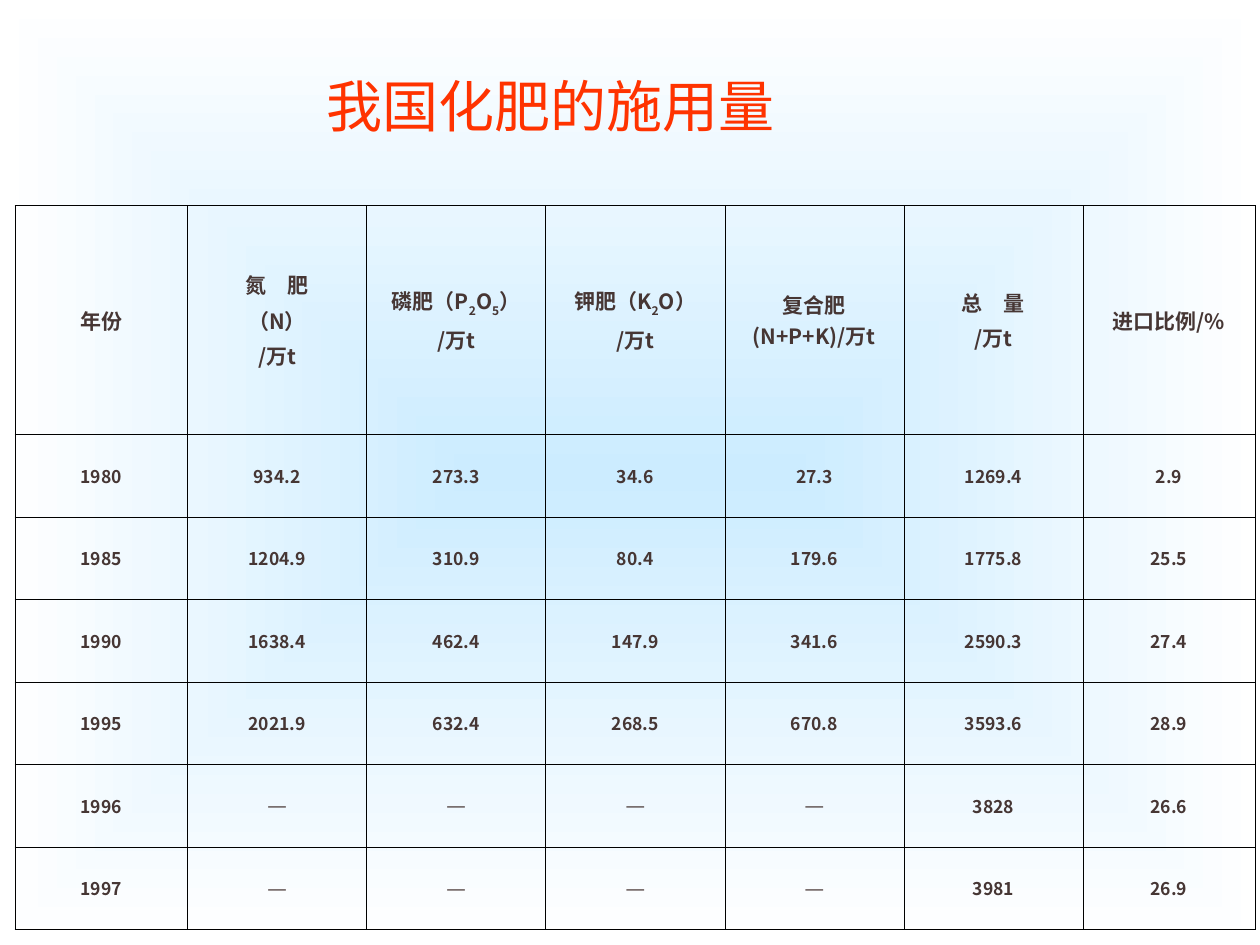
from pptx import Presentation
from pptx.dml.color import RGBColor
from pptx.enum.text import MSO_ANCHOR, MSO_AUTO_SIZE, PP_ALIGN
from pptx.oxml import parse_xml
from pptx.oxml.ns import nsdecls, qn
from pptx.util import Cm, Pt

CENTER = PP_ALIGN.CENTER
MIDDLE = MSO_ANCHOR.MIDDLE
GROW = MSO_AUTO_SIZE.SHAPE_TO_FIT_TEXT

COLORS = {"title": "FF3300", "text": "463634", "border": "000000",
          "bg_inner": "CCECFF", "bg_outer": "FFFFFF"}
SANS = "Noto Sans CJK SC"
SERIF = "Times New Roman"

# Each header cell is a list of lines; "_" lowers the character after it
HEADERS = [
    ["年份"],
    ["氮　肥", "（N）", "/万t"],
    ["磷肥（P_2O_5）", "/万t"],
    ["钾肥（K_2O）", "/万t"],
    ["复合肥(N+P+K)/万t"],
    ["总　量", "/万t"],
    ["进口比例/%"],
]
ROWS = [
    ["1980", "934.2", "273.3", "34.6", "27.3", "1269.4", "2.9"],
    ["1985", "1204.9", "310.9", "80.4", "179.6", "1775.8", "25.5"],
    ["1990", "1638.4", "462.4", "147.9", "341.6", "2590.3", "27.4"],
    ["1995", "2021.9", "632.4", "268.5", "670.8", "3593.6", "28.9"],
    ["1996", "—", "—", "—", "—", "3828", "26.6"],
    ["1997", "—", "—", "—", "—", "3981", "26.9"],
]


def add_run(p, text, size, color, font=SANS, bold=False, subscript=False):
    r = p.add_run()
    r.text = text
    r.font.size = Pt(size)
    r.font.bold = bold
    r.font.name = font
    r.font.color.rgb = RGBColor.from_string(COLORS[color])
    rPr = r.font._element
    rPr.append(parse_xml(f'<a:ea {nsdecls("a")} typeface="{font}"/>'))
    if subscript:
        rPr.set("baseline", "-25000")


def set_background(s):
    fill = s.background.fill
    fill.gradient()
    for stop, name in zip(fill.gradient_stops, ("bg_inner", "bg_outer")):
        stop.color.rgb = RGBColor.from_string(COLORS[name])
    # Rectangular gradient from the centre outwards
    lin = s._element.find(".//" + qn("a:lin"))
    lin.getparent().replace(lin, parse_xml(
        f'<a:path {nsdecls("a")} path="rect">'
        '<a:fillToRect l="50000" t="50000" r="50000" b="50000"/></a:path>'))


def add_title(s, left, top, width, height):
    tf = s.shapes.add_textbox(left, top, width, height).text_frame
    tf.word_wrap = True
    tf.auto_size = GROW
    p = tf.paragraphs[0]
    p.alignment = CENTER
    add_run(p, "我国化肥的施用量", 32, "title")


def set_borders(cell):
    tcPr = cell._tc.get_or_add_tcPr()
    for i, side in enumerate("LRTB"):
        tcPr.insert(i, parse_xml(
            f'<a:ln{side} {nsdecls("a")} w="{Pt(0.23)}"><a:solidFill>'
            f'<a:srgbClr val="{COLORS["border"]}"/></a:solidFill></a:ln{side}>'))


def fill_cell(cell, lines, size):
    cell.fill.background()
    cell.vertical_anchor = MIDDLE
    set_borders(cell)
    tf = cell.text_frame
    for i, line in enumerate(lines):
        p = tf.add_paragraph() if i else tf.paragraphs[0]
        p.alignment = CENTER
        if i:
            p.space_before = Pt(3)
        font = SERIF if line == "—" else SANS
        for j, part in enumerate(line.split("_")):
            if j:
                add_run(p, part[0], size, "text", font, True, subscript=True)
                part = part[1:]
            if part:
                add_run(p, part, size, "text", font, True)


def add_usage_table(s, left, top, width, height):
    table = s.shapes.add_table(len(ROWS) + 1, len(HEADERS),
                               left, top, width, height).table
    table.first_row = table.horz_banding = False

    # Narrower outer columns, a tall header and equal data rows
    first, inner = Cm(3.48), Cm(3.61)
    for col in table.columns:
        col.width = inner
    table.columns[0].width = first
    table.columns[6].width = width - first - 5 * inner
    header_height = Cm(4.62)
    for row in table.rows:
        row.height = (height - header_height) // len(ROWS)
    table.rows[0].height = header_height

    for c, lines in enumerate(HEADERS):
        fill_cell(table.cell(0, c), lines, 12)
    for r, values in enumerate(ROWS, 1):
        for c, value in enumerate(values):
            fill_cell(table.cell(r, c), [value], 10)


def main():
    prs = Presentation()
    prs.slide_width, prs.slide_height = Cm(25.4), Cm(19.05)
    s = prs.slides.add_slide(prs.slide_layouts[6])
    set_background(s)
    add_title(s, Cm(1.7), Cm(1.32), Cm(18.8), Cm(1.63))
    add_usage_table(s, Cm(0.3), Cm(4.14), Cm(25), Cm(14.6))
    prs.save("out.pptx")


if __name__ == "__main__":
    main()
